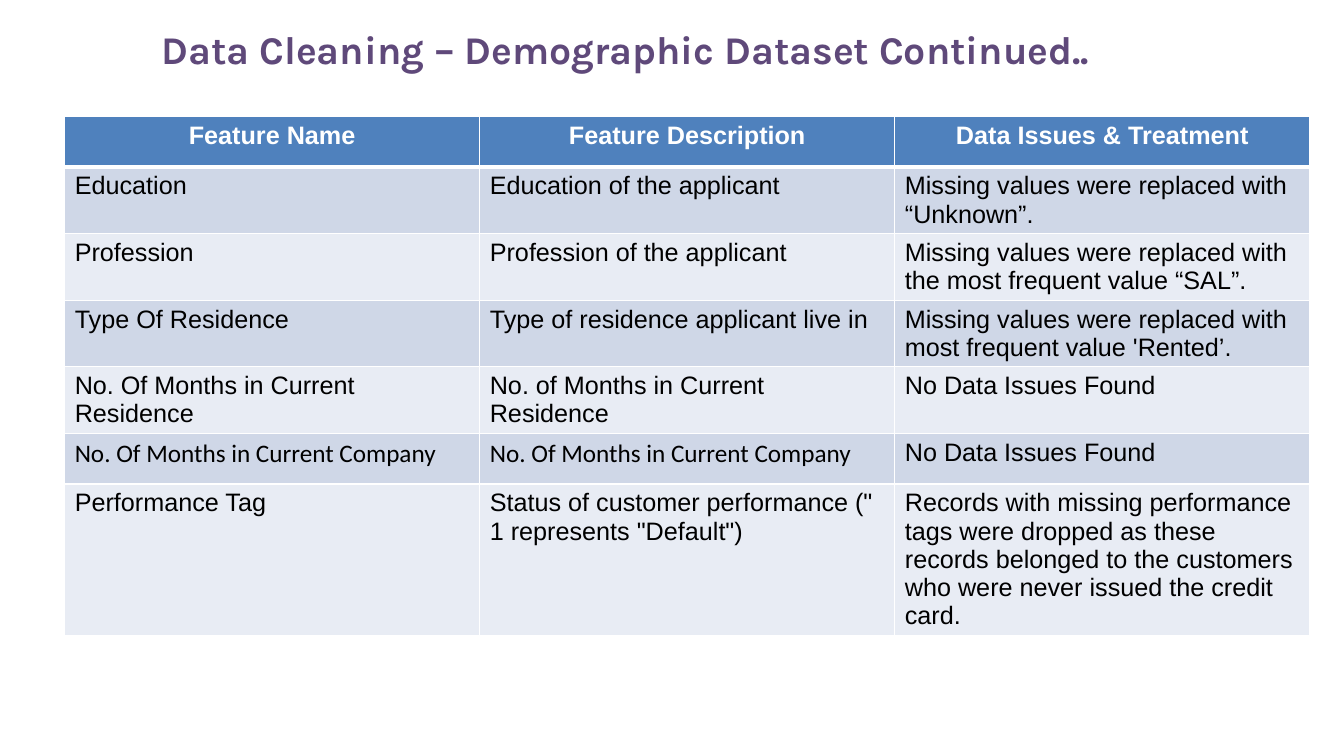
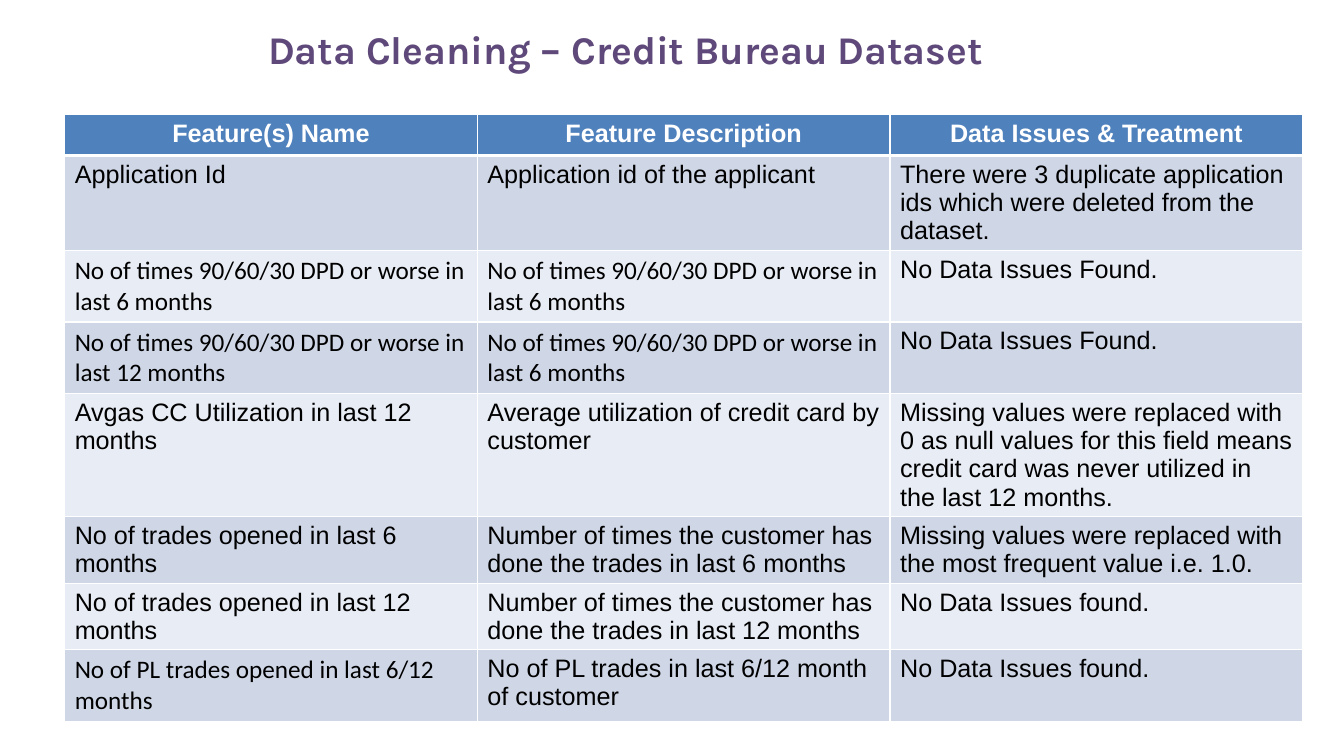
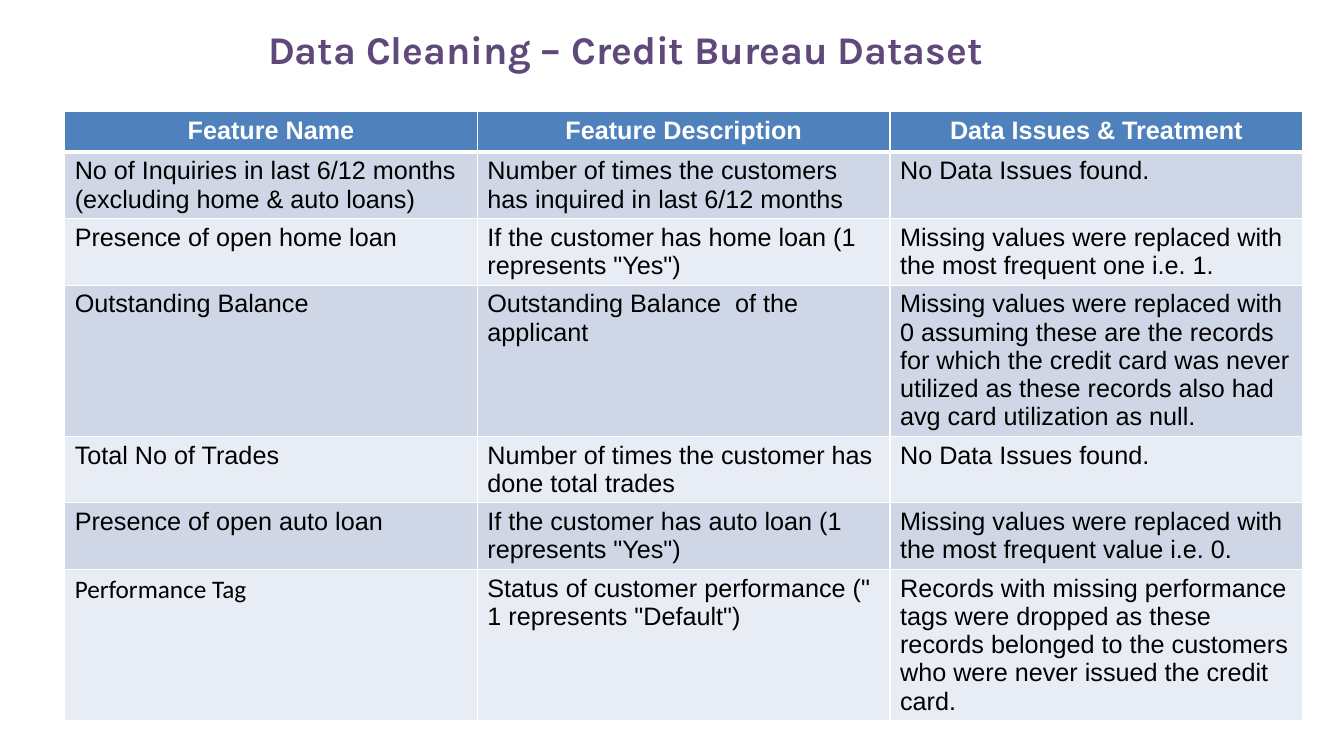
from dataclasses import dataclass

from lxml.etree import SubElement
from pptx import Presentation
from pptx.dml.color import RGBColor
from pptx.enum.text import MSO_ANCHOR as Anchor, MSO_AUTO_SIZE as AutoSize, PP_ALIGN as Align
from pptx.oxml.ns import qn
from pptx.util import Cm, Pt


@dataclass(frozen=True)
class Theme:
    title_color: str = "5F497A"
    header_fill: str = "4F81BD"
    header_text: str = "FFFFFF"
    body_text: str = "000000"
    border: str = "FFFFFF"
    bands: tuple = ("CFD7E7", "E8ECF4")
    title_font: str = "Karla"
    body_font: str = "Arial"
    alternate_font: str = "Calibri"
    title_size: int = 28
    body_size: int = 18
    thin_line: int = 1
    thick_line: int = 3


class Deck:
    """Holds the theme, the presentation and the current slide."""

    def __init__(self, theme):
        self.theme = theme
        self.presentation = Presentation()
        self.presentation.slide_width = Cm(33.87)
        self.presentation.slide_height = Cm(19.05)
        self.slide = None

    def add_slide(self, title, title_width):
        layout = self.presentation.slide_layouts[5]
        self.slide = self.presentation.slides.add_slide(layout)
        self.add_title(title, title_width)

    def style(self, paragraph, font_name, size, color, bold):
        font = paragraph.font
        font.name = font_name
        font.size = Pt(size)
        font.bold = bold
        font.color.rgb = RGBColor.from_string(color)

    def add_title(self, text, width):
        theme = self.theme
        center = 15.76
        shape = self.slide.shapes.title
        shape.left, shape.top = Cm(center - width / 2), Cm(0.64)
        shape.width, shape.height = Cm(width), Cm(1.35)
        frame = shape.text_frame
        frame.text = text
        frame.word_wrap = True
        frame.auto_size = AutoSize.NONE
        frame.vertical_anchor = Anchor.MIDDLE
        paragraph = frame.paragraphs[0]
        paragraph.alignment = Align.CENTER
        paragraph.line_spacing = 0.9
        self.style(paragraph, theme.title_font, theme.title_size, theme.title_color, True)

    def add_table(self, rows, top, column_width, row_height, alternate_cells=()):
        """Draw rows (header first); alternate_cells lists (row, column) in the second font."""
        theme = self.theme
        column_count = len(rows[0])
        table = self.slide.shapes.add_table(
            len(rows), column_count, Cm(1.63), Cm(top),
            Cm(column_width * column_count), Cm(row_height * len(rows))).table
        table.horz_banding = False
        for column in table.columns:
            column.width = Cm(column_width)
        for row_index, texts in enumerate(rows):
            table.rows[row_index].height = Cm(row_height)
            for column_index, text in enumerate(texts):
                alternate = (row_index, column_index) in alternate_cells
                font_name = theme.alternate_font if alternate else theme.body_font
                self.fill_cell(table.cell(row_index, column_index), text, row_index, font_name)

    def fill_cell(self, cell, text, row_index, font_name):
        theme = self.theme
        is_header = row_index == 0
        fill = theme.header_fill if is_header else theme.bands[(row_index - 1) % 2]
        color = theme.header_text if is_header else theme.body_text
        cell.text = text
        paragraph = cell.text_frame.paragraphs[0]
        paragraph.alignment = Align.CENTER if is_header else Align.LEFT
        self.style(paragraph, font_name, theme.body_size, color, is_header)
        # Borders come before the fill in the cell properties
        self.add_borders(cell, top=theme.thick_line if row_index == 1 else theme.thin_line,
                         bottom=theme.thick_line if is_header else theme.thin_line)
        cell.fill.solid()
        cell.fill.fore_color.rgb = RGBColor.from_string(fill)

    def add_borders(self, cell, top, bottom):
        thin = self.theme.thin_line
        properties = cell._tc.get_or_add_tcPr()
        for side, width in (("L", thin), ("R", thin), ("T", top), ("B", bottom)):
            line = SubElement(properties, qn(f"a:ln{side}"), w=str(Pt(width)))
            solid = SubElement(line, qn("a:solidFill"))
            SubElement(solid, qn("a:srgbClr"), val=self.theme.border)


# Text shared between tables
HEADER = ("Feature Name", "Feature Description", "Data Issues & Treatment")
PERFORMANCE_TAG = (
    "Performance Tag",
    "Status of customer performance (\" 1 represents \"Default\")",
    "Records with missing performance tags were dropped as these records belonged "
    "to the customers who were never issued the credit card.",
)
REPLACED = "Missing values were replaced with"
BUREAU_TITLE = "Data Cleaning – Credit Bureau Dataset"
LATE_PAYMENT = "No of times 90/60/30 DPD or worse in last"

DEMOGRAPHIC_ROWS = [
    HEADER,
    ("Education", "Education of the applicant", f"{REPLACED} “Unknown”."),
    ("Profession", "Profession of the applicant",
     f"{REPLACED} the most frequent value “SAL”."),
    ("Type Of Residence", "Type of residence applicant live in",
     f"{REPLACED} most frequent value 'Rented’."),
    ("No. Of Months in Current Residence", "No. of Months in Current Residence",
     "No Data Issues Found"),
    ("No. Of Months in Current Company", "No. Of Months in Current Company",
     "No Data Issues Found"),
    PERFORMANCE_TAG,
]

BUREAU_ROWS = [
    ("Feature(s) Name", *HEADER[1:]),
    ("Application Id", "Application id of the applicant",
     "There were 3 duplicate application ids which were deleted from the dataset."),
    (f"{LATE_PAYMENT} 6 months", f"{LATE_PAYMENT} 6 months", "No Data Issues Found."),
    (f"{LATE_PAYMENT} 12 months", f"{LATE_PAYMENT} 6 months", "No Data Issues Found."),
    ("Avgas CC Utilization in last 12 months",
     "Average utilization of credit card by customer",
     f"{REPLACED} 0 as null values for this field means credit card was never "
     "utilized in the last 12 months."),
    ("No of trades opened in last 6 months",
     "Number of times the customer has done the trades in last 6 months",
     f"{REPLACED} the most frequent value i.e. 1.0."),
    ("No of trades opened in last 12 months",
     "Number of times the customer has done the trades in last 12 months",
     "No Data Issues found."),
    ("No of PL trades opened in last 6/12 months",
     "No of PL trades in last 6/12 month of customer", "No Data Issues found."),
]

BUREAU_MORE_ROWS = [
    HEADER,
    ("No of Inquiries in last 6/12 months (excluding home & auto loans)",
     "Number of times the customers has inquired in last 6/12 months",
     "No Data Issues found."),
    ("Presence of open home loan", "If the customer has home loan (1 represents \"Yes\")",
     f"{REPLACED} the most frequent one i.e. 1."),
    ("Outstanding Balance", "Outstanding Balance  of the applicant",
     f"{REPLACED} 0 assuming these are the records for which the credit card was "
     "never utilized as these records also had avg card utilization as null."),
    ("Total No of Trades", "Number of times the customer has done total trades",
     "No Data Issues found."),
    ("Presence of open auto loan", "If the customer has auto loan (1 represents \"Yes\")",
     f"{REPLACED} the most frequent value i.e. 0."),
    PERFORMANCE_TAG,
]


def main():
    deck = Deck(Theme())

    # Demographic dataset
    deck.add_slide("Data Cleaning – Demographic Dataset Continued..", title_width=24.97)
    deck.add_table(DEMOGRAPHIC_ROWS, top=2.93, column_width=10.46, row_height=1.28,
                   alternate_cells={(5, 0), (5, 1)})

    # Credit bureau dataset
    deck.add_slide(BUREAU_TITLE, title_width=19.15)
    deck.add_table(BUREAU_ROWS, top=2.89, column_width=10.4, row_height=1.03,
                   alternate_cells={(2, 0), (2, 1), (3, 0), (3, 1), (7, 0)})

    # Credit bureau dataset, second part
    deck.add_slide(BUREAU_TITLE, title_width=19.15)
    deck.add_table(BUREAU_MORE_ROWS, top=2.8, column_width=10.4, row_height=1.03,
                   alternate_cells={(6, 0)})

    deck.presentation.save("out.pptx")


if __name__ == "__main__":
    main()
